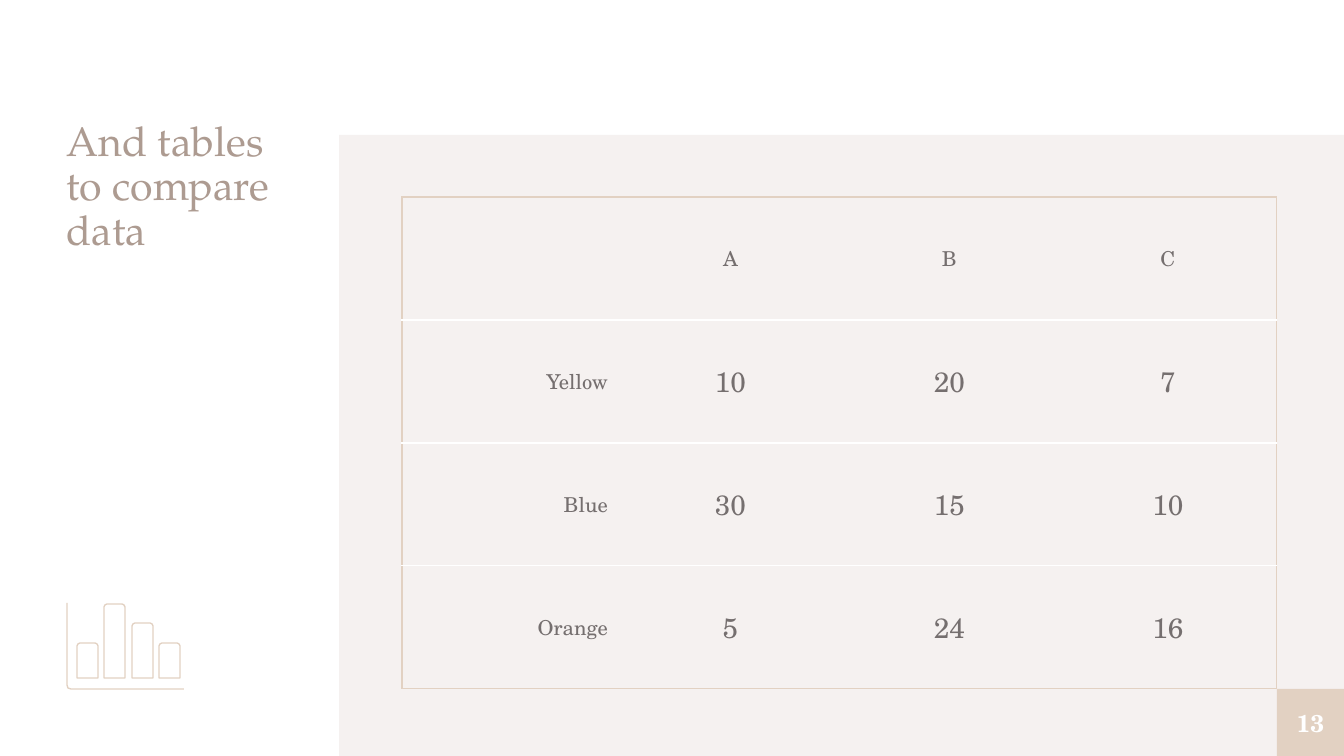
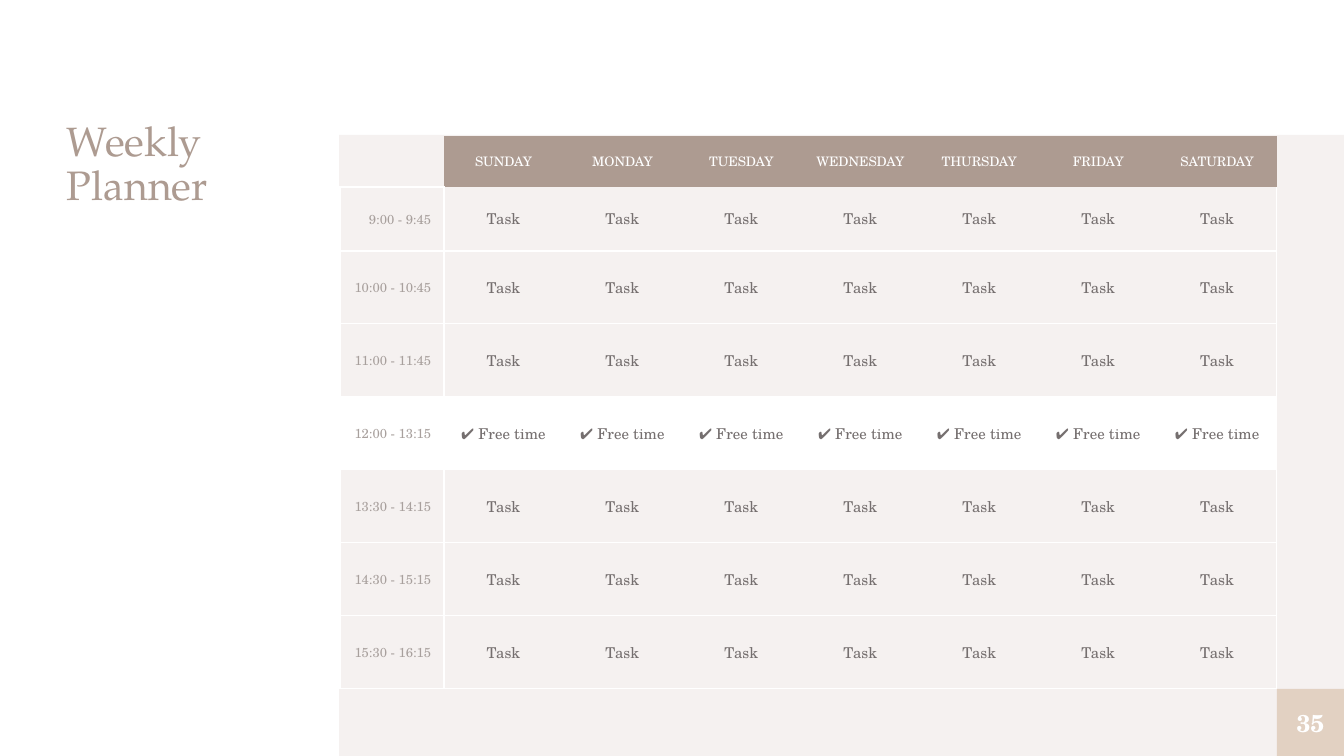
from lxml import etree
from pptx import Presentation
from pptx.dml.color import RGBColor
from pptx.enum.shapes import MSO_SHAPE
from pptx.enum.text import MSO_ANCHOR, PP_ALIGN
from pptx.oxml.ns import qn
from pptx.util import Pt

PX = 914400 / 134.4
RECT = MSO_SHAPE.RECTANGLE
LEFT, CENTER, RIGHT = PP_ALIGN.LEFT, PP_ALIGN.CENTER, PP_ALIGN.RIGHT
TOP, MIDDLE = MSO_ANCHOR.TOP, MSO_ANCHOR.MIDDLE

WHITE = RGBColor(0xFF, 0xFF, 0xFF)
PALE = RGBColor(0xF5, 0xF1, 0xF0)
SAND = RGBColor(0xE2, 0xD1, 0xC2)
TAUPE = RGBColor(0xAD, 0x9B, 0x91)
GREY = RGBColor(0x75, 0x6F, 0x6F)
LIGHT_GREY = RGBColor(0xA8, 0xA0, 0x9D)
SERIF, BODY = "TeX Gyre Pagella", "TeX Gyre Schola"


def write(tf, text, size=11, color=GREY, font=BODY, align=CENTER, bold=False, spacing=None):
    p = tf.paragraphs[0]
    p.alignment = align
    p.line_spacing = spacing
    r = p.add_run()
    r.text = text
    r.font.size = Pt(size)
    r.font.name = font
    r.font.bold = bold
    r.font.color.rgb = color


def format_cell(cell, edges, pad_x=13, pad_y=13, fill=None):
    """Set padding, fill and the four borders; edges maps L, R, T, B to a colour."""
    cell.vertical_anchor = MIDDLE
    cell.margin_left = cell.margin_right = round(pad_x * PX)
    cell.margin_top = cell.margin_bottom = round(pad_y * PX)
    tcPr = cell._tc.get_or_add_tcPr()
    for side in "LRTB":
        ln = etree.SubElement(tcPr, qn(f"a:ln{side}"), w=str(Pt(0.75)))
        color = edges.get(side)
        if color is None:
            etree.SubElement(ln, qn("a:noFill"))
        else:
            solid = etree.SubElement(ln, qn("a:solidFill"))
            etree.SubElement(solid, qn("a:srgbClr"), val=str(color))
    if fill is None:
        cell.fill.background()
    else:
        cell.fill.solid()
        cell.fill.fore_color.rgb = fill


prs = Presentation()
prs.slide_width, prs.slide_height = round(1344 * PX), round(756 * PX)

# Shared parts: background band, title, page badge, empty table
pages = [
    ("And tables to compare data", "13", (402, 197), [219, 219, 219, 218], [123] * 4),
    ("Weekly Planner", "35", (340, 136), [104] + [119] * 7, [51, 64] + [73] * 6),
]
slides, tables = [], []
for title, number, (x, y), widths, heights in pages:
    s = prs.slides.add_slide(prs.slide_layouts[6])
    slides.append(s)
    blocks = []
    for color, box in ((PALE, (339, 135, 1005, 621)), (SAND, (1277, 689, 67, 67))):
        sp = s.shapes.add_shape(RECT, *(round(v * PX) for v in box))
        sp.shadow.inherit = False
        sp.fill.solid()
        sp.fill.fore_color.rgb = color
        sp.line.fill.background()
        blocks.append(sp)
    badge = blocks[1]
    heading = s.shapes.add_textbox(*(round(v * PX) for v in (67, 121, 239, 568)))
    for sp, anchor in ((badge, MIDDLE), (heading, TOP)):
        tf = sp.text_frame
        tf.word_wrap = True
        tf.vertical_anchor = anchor
        tf.margin_left = tf.margin_right = tf.margin_top = tf.margin_bottom = 0
    write(badge.text_frame, number, size=13, color=WHITE, bold=True)
    write(heading.text_frame, title, size=22, color=TAUPE, font=SERIF, align=LEFT, spacing=0.9)

    box = (x, y, sum(widths), sum(heights))
    table = s.shapes.add_table(len(heights), len(widths), *(round(v * PX) for v in box)).table
    table.first_row = table.horz_banding = False
    for col, w in zip(table.columns, widths):
        col.width = round(w * PX)
    for row, h in zip(table.rows, heights):
        row.height = round(h * PX)
    tables.append(table)

# Slide 1: data table with a sand frame and white row rules
data = [
    ["", "A", "B", "C"],
    ["Yellow", "10", "20", "7"],
    ["Blue", "30", "15", "10"],
    ["Orange", "5", "24", "16"],
]
for i, row in enumerate(data):
    for j, text in enumerate(row):
        cell = tables[0].cell(i, j)
        edges = {
            "L": SAND if j == 0 else None,
            "R": SAND if j == 3 else None,
            "T": SAND if i == 0 else WHITE,
            "B": SAND if i == 3 else WHITE,
        }
        format_cell(cell, edges, pad_y=9)
        if text:
            write(cell.text_frame, text, size=15 if i and j else 11, align=CENTER if j else RIGHT)

# Slide 1: bar chart icon, an axis and four bars with rounded tops
outlines = [([(67, 603), (67, 685), (68, 688), (71, 689), (184, 689)], False)]
for k, top in enumerate((643, 604, 623, 643)):
    x1 = 77 + round(27.3 * k)
    x2 = x1 + 21
    bar = [(x2, 678), (x2, top + 3), (x2 - 1, top + 1), (x2 - 3, top),
           (x1 + 3, top), (x1 + 1, top + 1), (x1, top + 3), (x1, 678)]
    outlines.append((bar, True))
icon = slides[0].shapes.add_group_shape()
for points, closed in outlines:
    fb = icon.shapes.build_freeform(*points[0], scale=PX)
    fb.add_line_segments(points[1:], close=closed)
    sp = fb.convert_to_shape()
    sp.shadow.inherit = False
    sp.fill.background()
    sp.line.color.rgb = SAND
    sp.line.width = Pt(0.75)

# Slide 2: weekly planner
planner = tables[1]
days = ["SUNDAY", "MONDAY", "TUESDAY", "WEDNESDAY", "THURSDAY", "FRIDAY", "SATURDAY"]
hours = ["9:00 - 9:45", "10:00 - 10:45", "11:00 - 11:45", "12:00 - 13:15",
         "13:30 - 14:15", "14:30 - 15:15", "15:30 - 16:15"]
format_cell(planner.cell(0, 0), {"B": WHITE}, pad_y=0)
for j, day in enumerate(days, 1):
    cell = planner.cell(0, j)
    format_cell(cell, {}, fill=TAUPE)
    write(cell.text_frame, day, size=7, color=WHITE)
for i, hour in enumerate(hours, 1):
    is_break = hour.startswith("12:00")
    fill = WHITE if is_break else None
    cell = planner.cell(i, 0)
    format_cell(cell, dict.fromkeys("LRTB", WHITE), fill=fill)
    write(cell.text_frame, hour, size=7, color=LIGHT_GREY, align=RIGHT)
    for j in range(1, len(days) + 1):
        cell = planner.cell(i, j)
        edges = {
            "L": WHITE if j == 1 else None,
            "R": WHITE if j == len(days) else None,
            "T": WHITE if i > 1 else None,
            "B": WHITE,
        }
        format_cell(cell, edges, fill=fill)
        write(cell.text_frame, "✔ Free time" if is_break else "Task", size=8)

prs.save("out.pptx")
